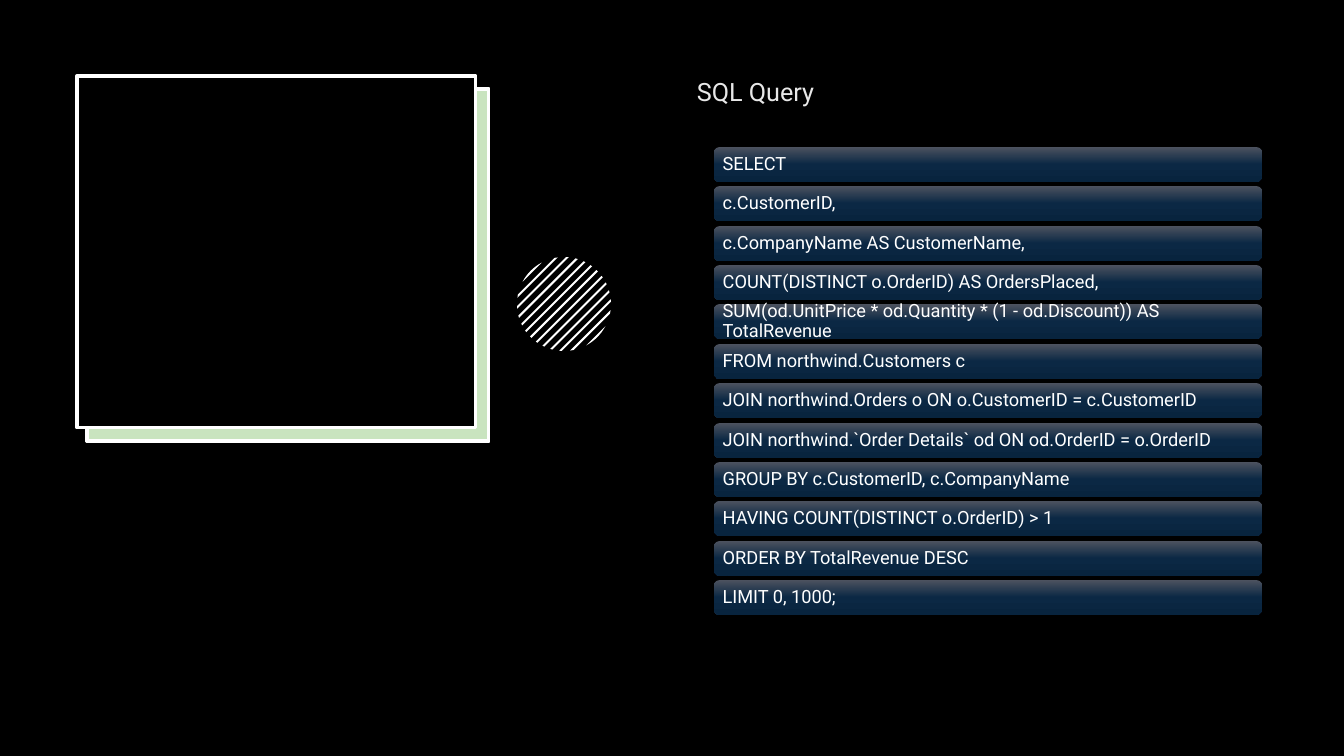
import math

from lxml import etree
from pptx import Presentation
from pptx.dml.color import RGBColor
from pptx.enum.shapes import MSO_SHAPE
from pptx.enum.text import MSO_ANCHOR, MSO_AUTO_SIZE, PP_ALIGN
from pptx.oxml import parse_xml
from pptx.oxml.ns import qn
from pptx.util import Emu, Pt

RECTANGLE = MSO_SHAPE.RECTANGLE
ROUNDED = MSO_SHAPE.ROUNDED_RECTANGLE
MIDDLE = MSO_ANCHOR.MIDDLE
LEFT = PP_ALIGN.LEFT
FIT_SHAPE = MSO_AUTO_SIZE.SHAPE_TO_FIT_TEXT

BLACK = RGBColor(0x00, 0x00, 0x00)
WHITE = RGBColor(0xFF, 0xFF, 0xFF)
GREEN = RGBColor(0x4E, 0xA7, 0x2E)
LIGHT_GRAY = RGBColor(0xE8, 0xE8, 0xE8)
ROW_TOP = RGBColor(0x4C, 0x52, 0x5F)
ROW_MIDDLE = RGBColor(0x0B, 0x28, 0x44)
ROW_BOTTOM = RGBColor(0x08, 0x24, 0x3E)

FONT = "Roboto"
SCALE = 914400 / 100.8
WIDTH, HEIGHT = 1344, 756
DRAWING = "http://schemas.openxmlformats.org/drawingml/2006/main"

QUERY_LINES = [
    "SELECT",
    "c.CustomerID,",
    "c.CompanyName AS CustomerName,",
    "COUNT(DISTINCT o.OrderID) AS OrdersPlaced,",
    "SUM(od.UnitPrice * od.Quantity * (1 - od.Discount)) AS TotalRevenue",
    "FROM northwind.Customers c",
    "JOIN northwind.Orders o ON o.CustomerID = c.CustomerID",
    "JOIN northwind.`Order Details` od ON od.OrderID = o.OrderID",
    "GROUP BY c.CustomerID, c.CompanyName",
    "HAVING COUNT(DISTINCT o.OrderID) > 1",
    "ORDER BY TotalRevenue DESC",
    "LIMIT 0, 1000;",
]


def px(length):
    return Emu(round(length * SCALE))


class QuerySlide:
    def __init__(self, presentation, font):
        self.slide = presentation.slides.add_slide(presentation.slide_layouts[6])
        self.font = font

    def box(self, preset, left, top, width, height):
        shape = self.slide.shapes.add_shape(
            preset, px(left), px(top), px(width), px(height))
        shape.shadow.inherit = False
        shape.line.fill.background()
        return shape

    def panel(self, left, top, width, height, color, border=None, opacity=100):
        shape = self.box(RECTANGLE, left, top, width, height)
        shape.fill.solid()
        shape.fill.fore_color.rgb = color
        if opacity < 100:
            color_element = shape.element.spPr.find(qn("a:solidFill"))[0]
            etree.SubElement(color_element, qn("a:alpha"), val=str(opacity * 1000))
        if border is not None:
            shape.line.color.rgb = border
            shape.line.width = Pt(2.25)

    def add_text(self, paragraph, text, size, color):
        paragraph.alignment = LEFT
        run = paragraph.add_run()
        run.text = text
        run.font.name = self.font
        run.font.size = Pt(size)
        run.font.color.rgb = color

    def title(self, left, top, width, height, text):
        shape = self.slide.shapes.add_textbox(
            px(left), px(top), px(width), px(height))
        frame = shape.text_frame
        frame.word_wrap = True
        frame.auto_size = FIT_SHAPE
        paragraph = frame.paragraphs[0]
        paragraph.space_after = Pt(6)
        self.add_text(paragraph, text, 18, LIGHT_GRAY)

    def query_row(self, left, top, width, height, text):
        shape = self.box(ROUNDED, left, top, width, height)
        self.shade(shape)
        frame = shape.text_frame
        frame.word_wrap = True
        frame.vertical_anchor = MIDDLE
        frame.margin_left = frame.margin_right = px(7)
        frame.margin_top = frame.margin_bottom = px(6)
        paragraph = frame.paragraphs[0]
        paragraph.line_spacing = 0.9
        self.add_text(paragraph, text, 13, WHITE)

    def shade(self, shape):
        stops = "".join(
            f'<a:gs pos="{position * 1000}"><a:srgbClr val="{color}"/></a:gs>'
            for position, color in ((0, ROW_TOP), (50, ROW_MIDDLE), (100, ROW_BOTTOM)))
        properties = shape.element.spPr
        properties.find(qn("a:prstGeom")).addnext(parse_xml(
            f'<a:gradFill xmlns:a="{DRAWING}" rotWithShape="1"><a:gsLst>{stops}'
            '</a:gsLst><a:lin ang="5400000" scaled="0"/></a:gradFill>'))
        properties.find(qn("a:effectLst")).append(parse_xml(
            f'<a:outerShdw xmlns:a="{DRAWING}" blurRad="{Pt(4.5)}" dist="{Pt(1.5)}" '
            f'dir="5400000" rotWithShape="0"><a:srgbClr val="{BLACK}">'
            '<a:alpha val="63000"/></a:srgbClr></a:outerShdw>'))

    def stripe(self, center_x, center_y, radius, near, far):
        start, end = (math.acos(max(-1, min(1, edge / radius))) for edge in (near, far))
        arc = [start + (end - start) * step / 4 for step in range(5)]
        angles = arc + [-angle for angle in reversed(arc)]
        points = [(px(center_x + radius * math.cos(angle + math.pi / 4)),
                   px(center_y + radius * math.sin(angle + math.pi / 4)))
                  for angle in angles]
        builder = self.slide.shapes.build_freeform(*points[0])
        builder.add_line_segments(points[1:], close=True)
        shape = builder.convert_to_shape()
        shape.shadow.inherit = False
        shape.fill.solid()
        shape.fill.fore_color.rgb = WHITE
        shape.line.fill.background()

    def striped_circle(self, center_x, center_y, radius, count, thickness):
        pitch = (2 * radius - thickness) / (count - 1)
        for index in range(count):
            near = index * pitch - radius
            self.stripe(center_x, center_y, radius, near, near + thickness)


def main():
    presentation = Presentation()
    presentation.slide_width = px(WIDTH)
    presentation.slide_height = px(HEIGHT)
    query_slide = QuerySlide(presentation, FONT)

    query_slide.panel(0, 0, WIDTH, HEIGHT, BLACK)
    query_slide.panel(87, 89, 402, 352, WHITE, WHITE)
    query_slide.panel(87, 89, 402, 352, GREEN, WHITE, opacity=30)
    query_slide.panel(77, 76, 399, 352, BLACK, WHITE)
    query_slide.striped_circle(564, 304, 47, count=13, thickness=2)

    query_slide.title(687, 71, 240, 40, "SQL Query")
    first_top, last_top = 147, 580
    pitch = (last_top - first_top) / (len(QUERY_LINES) - 1)
    for index, text in enumerate(QUERY_LINES):
        query_slide.query_row(714, round(first_top + index * pitch), 548, 35, text)

    presentation.save("out.pptx")


if __name__ == "__main__":
    main()
